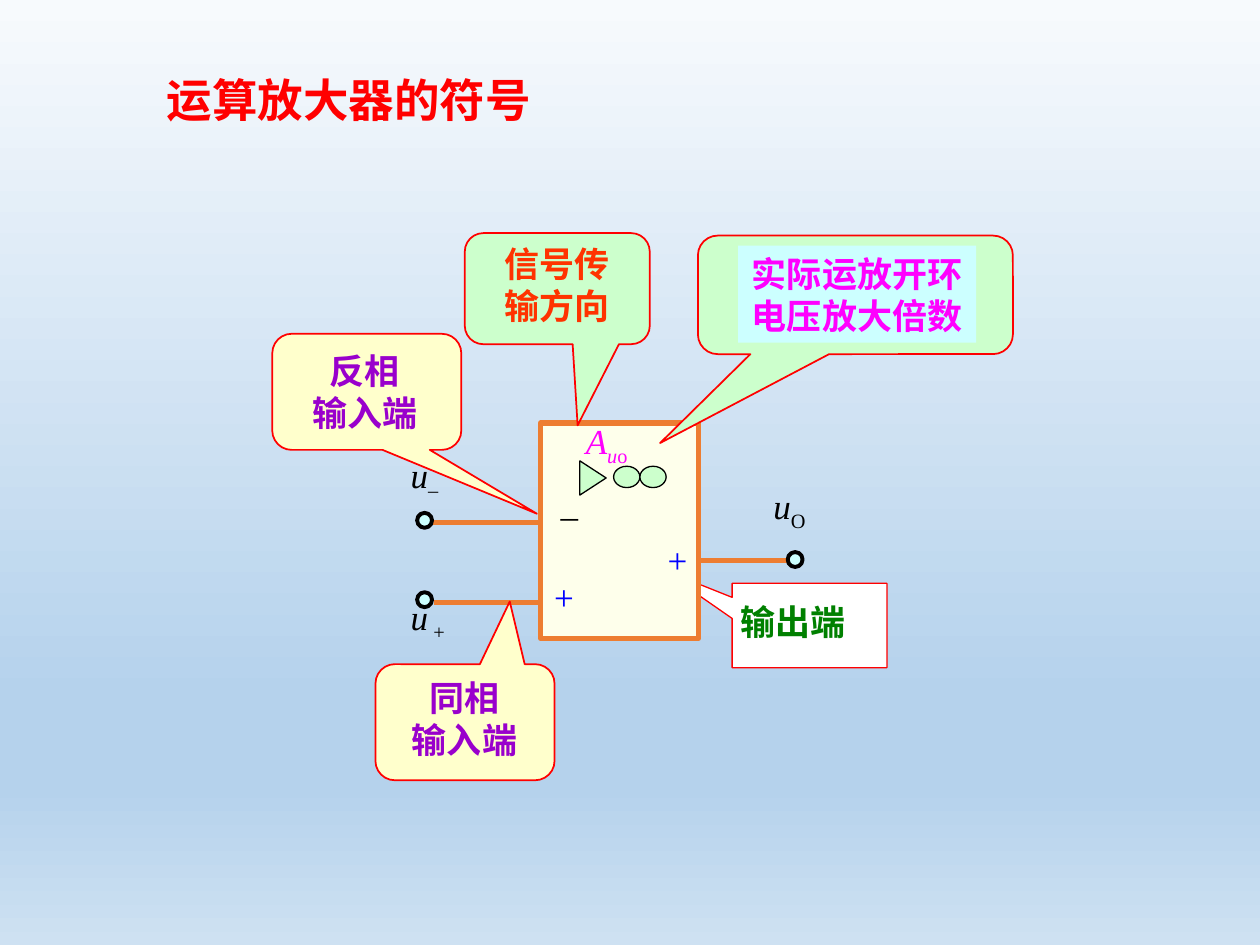
from dataclasses import dataclass

from lxml import etree
from pptx import Presentation
from pptx.dml.color import RGBColor
from pptx.enum.shapes import MSO_CONNECTOR, MSO_SHAPE
from pptx.enum.text import MSO_ANCHOR, MSO_AUTO_SIZE, PP_ALIGN
from pptx.oxml.ns import qn
from pptx.util import Cm, Pt

ROUND_CALLOUT = MSO_SHAPE.ROUNDED_RECTANGULAR_CALLOUT
RECT_CALLOUT = MSO_SHAPE.RECTANGULAR_CALLOUT
RECTANGLE = MSO_SHAPE.RECTANGLE
OVAL = MSO_SHAPE.OVAL
MERGE = MSO_SHAPE.FLOWCHART_MERGE
STRAIGHT = MSO_CONNECTOR.STRAIGHT
TOP, MIDDLE = MSO_ANCHOR.TOP, MSO_ANCHOR.MIDDLE
LEFT, CENTER = PP_ALIGN.LEFT, PP_ALIGN.CENTER
FIT_TEXT = MSO_AUTO_SIZE.SHAPE_TO_FIT_TEXT


@dataclass(frozen=True)
class Theme:
    chinese_font: str = "Noto Sans CJK SC"
    symbol_font: str = "Times New Roman"
    title_size: int = 26
    text_size: int = 20
    background: tuple = ((0, "F7FAFD"), (74, "B5D2EC"), (83, "B5D2EC"), (100, "CEE1F2"))
    black: str = "000000"
    white: str = "FFFFFF"
    red: str = "FF0000"
    orange_red: str = "FF3300"
    purple: str = "9900CC"
    magenta: str = "FF00FF"
    green: str = "008000"
    blue: str = "0000FF"
    circuit: str = "ED7D31"
    body: str = "FEFFEB"
    pale_yellow: str = "FFFFCC"
    pale_green: str = "CCFFCC"
    pale_cyan: str = "CCFFFF"


THEME = Theme()


def rgb(color):
    return RGBColor.from_string(color)


def paint_background(slide):
    fill = slide.background.fill
    fill.gradient()
    fill.gradient_angle = 270
    stops = slide.element.find(".//" + qn("a:gsLst"))
    for stop in list(stops):
        stops.remove(stop)
    for percent, color in THEME.background:
        stop = etree.SubElement(stops, qn("a:gs"), pos=str(percent * 1000))
        etree.SubElement(stop, qn("a:srgbClr"), val=color)


def add_figure(slide, kind, box, fill, line, width, adjustments=()):
    shape = slide.shapes.add_shape(kind, *map(Cm, box))
    shape.shadow.inherit = False
    shape.fill.solid()
    shape.fill.fore_color.rgb = rgb(fill)
    shape.line.color.rgb = rgb(line)
    shape.line.width = Pt(width)
    for index, value in enumerate(adjustments):
        shape.adjustments[index] = value
    return shape


def add_line(slide, start, end, color, width):
    connector = slide.shapes.add_connector(STRAIGHT, *map(Cm, start + end))
    connector.line.color.rgb = rgb(color)
    connector.line.width = Pt(width)
    etree.SubElement(connector.element.spPr, qn("a:effectLst"))


def add_text_frame(slide, box, anchor, wrap):
    text_box = slide.shapes.add_textbox(*map(Cm, box))
    frame = text_box.text_frame
    frame.word_wrap = wrap
    frame.auto_size = FIT_TEXT
    frame.vertical_anchor = anchor
    return text_box, frame


def set_font(font, name, color, size=THEME.text_size):
    font.size = Pt(size)
    font.color.rgb = rgb(color)
    font.name = name


def add_chinese(slide, box, lines, color, size=THEME.text_size,
                anchor=MIDDLE, align=CENTER):
    """Bold Chinese text, one paragraph a line."""
    text_box, frame = add_text_frame(slide, box, anchor, False)
    frame.text = "\n".join(lines)
    for paragraph in frame.paragraphs:
        paragraph.alignment = align
        paragraph.font.bold = True
        set_font(paragraph.font, THEME.chinese_font, color, size)
        properties = paragraph.font._element
        etree.SubElement(properties, qn("a:ea"), typeface=THEME.chinese_font)
    return text_box


def add_symbol(slide, box, parts, color, wrap=True):
    """Math label; each part is (text, italic, subscript)."""
    _, frame = add_text_frame(slide, box, TOP, wrap)
    paragraph = frame.paragraphs[0]
    set_font(paragraph.font, THEME.symbol_font, color)
    for text, italic, subscript in parts:
        run = paragraph.add_run()
        run.text = text
        run.font.italic = italic
        if subscript:
            run.font._element.set("baseline", "-25000")


def add_sign(slide, left, top, sign, color):
    add_symbol(slide, (left, top, 0.91, 1.12), [(sign, False, False)], color, wrap=False)


def add_callout(slide, box, tail, fill, text_box, lines, color):
    add_figure(slide, ROUND_CALLOUT, box, fill, THEME.red, 1, (*tail, 0.167))
    return add_chinese(slide, text_box, lines, color)


def add_amplifier(slide):
    # Leads and terminals
    for start, end, y in ((8.51, 10.85, 10.54), (8.74, 10.85, 12.14), (14.12, 16.13, 11.3)):
        add_line(slide, (start, y), (end, y), THEME.circuit, 3)
    for left, top in ((8.41, 10.34), (8.41, 11.94), (15.88, 11.13)):
        add_figure(slide, OVAL, (left, top, 0.3, 0.3), THEME.pale_cyan, THEME.black, 2.25)

    # Body with direction triangle and infinity sign
    add_figure(slide, RECTANGLE, (10.9, 8.53, 3.18, 4.34), THEME.body, THEME.circuit, 3)
    triangle = add_figure(slide, MERGE, (11.61, 9.37, 0.69, 0.53),
                          THEME.pale_green, THEME.black, 0.75)
    triangle.rotation = 270
    for left in (12.37, 12.9):
        add_figure(slide, OVAL, (left, 9.4, 0.53, 0.43), THEME.pale_green, THEME.black, 0.75)

    # Terminal voltages
    for left, top, subscript in ((15.34, 9.65, "O"), (8.03, 9.02, "–"), (8.03, 11.89, " +")):
        add_symbol(slide, (left, top, 1.96, 1.12),
                   [("u", True, False), (subscript, False, True)], THEME.black)

    # Polarity signs and open-loop gain
    add_sign(slide, 11.05, 9.83, "–", THEME.black)
    add_sign(slide, 13.21, 10.74, "+", THEME.blue)
    add_sign(slide, 10.92, 11.48, "+", THEME.blue)
    add_symbol(slide, (11.56, 8.33, 1.93, 1.12),
               [("A", True, False), ("u", True, True), ("o", False, True)], THEME.magenta)


def main():
    presentation = Presentation()
    presentation.slide_width, presentation.slide_height = Cm(25.4), Cm(19.05)
    slide = presentation.slides.add_slide(presentation.slide_layouts[6])
    paint_background(slide)

    # Title
    add_chinese(slide, (3.1, 1.32, 7.87, 1.35), ["运算放大器的符号"],
                THEME.red, THEME.title_size)

    # Callouts whose tails end behind the amplifier
    add_figure(slide, RECT_CALLOUT, (14.76, 11.76, 3.12, 1.7),
               THEME.white, THEME.red, 0.75, (-0.96, -0.67))
    add_line(slide, (11.1, 7.32), (11.1, 7.32), THEME.black, 0.75)
    add_callout(slide, (5.49, 6.73, 3.81, 2.34), (0.9, 1.05), THEME.pale_yellow,
                (6.02, 6.91, 2.67, 1.96), ["反相", "输入端"], THEME.purple)

    add_amplifier(slide)

    # Callouts in front of the amplifier
    add_callout(slide, (7.57, 13.39, 3.61, 2.34), (0.25, -1.04), THEME.pale_yellow,
                (8.03, 13.51, 2.67, 1.96), ["同相", "输入端"], THEME.purple)
    add_callout(slide, (9.37, 4.7, 3.73, 2.24), (0.11, 1.23), THEME.pale_green,
                (9.91, 4.75, 2.64, 1.96), ["信号传", "输方向"], THEME.orange_red)
    add_chinese(slide, (14.68, 11.99, 2.67, 1.12), ["输出端"], THEME.green,
                anchor=TOP, align=LEFT)
    gain_text = add_callout(slide, (14.07, 4.75, 6.35, 2.39), (-0.62, 1.25),
                            THEME.pale_green, (14.88, 4.95, 4.8, 1.96),
                            ["实际运放开环", "电压放大倍数"], THEME.magenta)
    gain_text.fill.solid()
    gain_text.fill.fore_color.rgb = rgb(THEME.pale_cyan)

    presentation.save("out.pptx")


if __name__ == "__main__":
    main()
